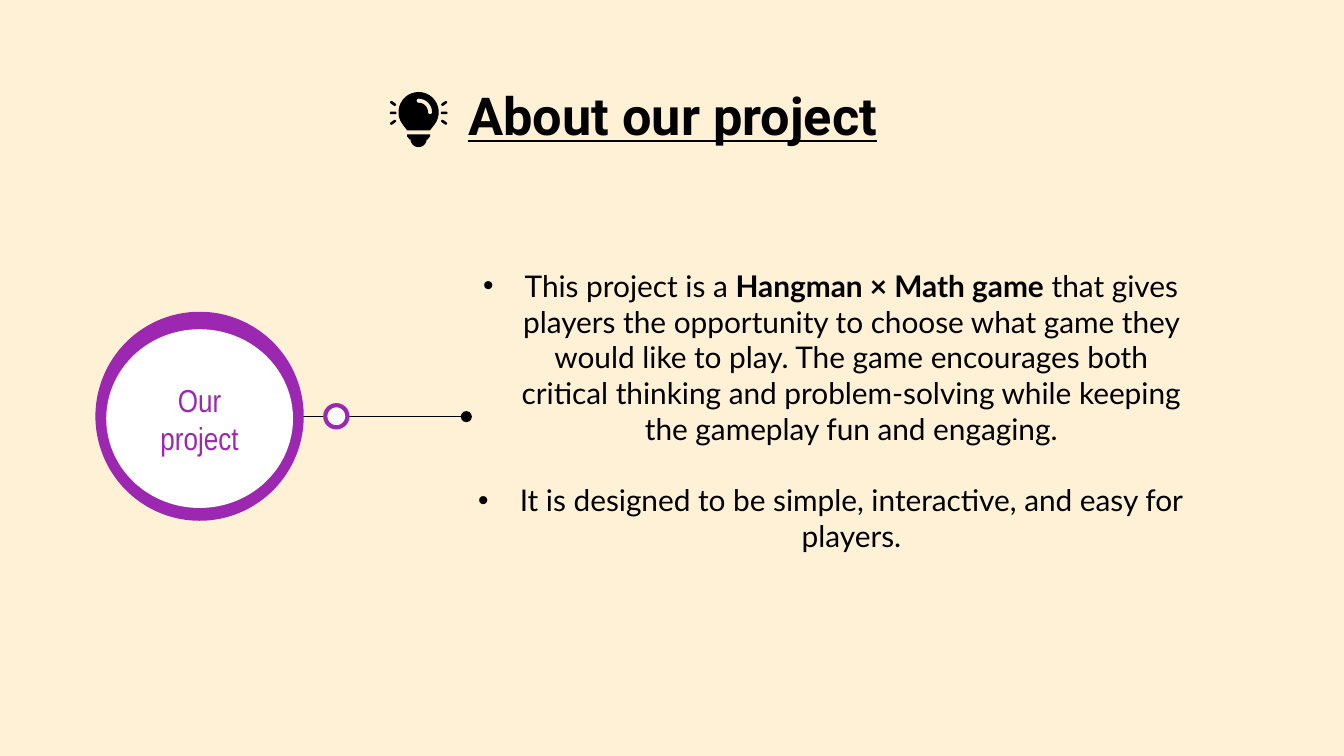
from dataclasses import dataclass
from math import cos, radians, sin

from lxml.etree import SubElement
from pptx import Presentation
from pptx.dml.color import RGBColor
from pptx.enum.shapes import MSO_CONNECTOR as Connector, MSO_SHAPE as Preset
from pptx.enum.text import MSO_ANCHOR as Anchor, PP_ALIGN as Align
from pptx.oxml.ns import qn
from pptx.util import Pt

PX = 4572  # 200 px to the inch
COLORS = {"cream": "FEF1D6", "black": "000000", "white": "FFFFFF", "purple": "9C27B0"}
Point = tuple[float, float]


@dataclass(frozen=True)
class Box:
    left: int
    top: int
    width: int
    height: int

    def emu(self) -> list[int]:
        return [value * PX for value in (self.left, self.top, self.width, self.height)]


@dataclass(frozen=True)
class Run:
    text: str
    bold: bool = False


@dataclass(frozen=True)
class Circle:
    box: Box
    fill: str
    outline: str | None = None


CIRCLES = [
    Circle(Box(484, 603, 33, 33), "white", "purple"),
    Circle(Box(142, 464, 310, 311), "purple"),
    Circle(Box(158, 490, 278, 266), "white"),
]
BULLETS = [
    [
        Run("This project is a "),
        Run("Hangman × Math game", bold=True),
        Run(" that gives players the opportunity to choose what game they would like to play. "
            "The game encourages both critical thinking and problem-solving while keeping "
            "the gameplay fun and engaging."),
    ],
    [Run("It is designed to be simple, interactive, and easy for players.")],
]
BULB_X, BULB_Y = 623, 167


def rgb(name: str) -> RGBColor:
    return RGBColor.from_string(COLORS[name])


def paint(shape, fill: str, outline: str | None = None):
    shape.shadow.inherit = False
    shape.fill.solid()
    shape.fill.fore_color.rgb = rgb(fill)
    if outline:
        shape.line.color.rgb = rgb(outline)
        shape.line.width = Pt(2.25)
    else:
        shape.line.fill.background()
    return shape


def add_bullet(paragraph, indent: int) -> None:
    properties = paragraph._p.get_or_add_pPr()
    properties.set("marL", str(indent * PX))
    properties.set("indent", str(-indent * PX))
    color = SubElement(properties, qn("a:buClr"))
    SubElement(color, qn("a:srgbClr"), val=COLORS["black"])
    SubElement(properties, qn("a:buFont"), typeface="Arial")
    SubElement(properties, qn("a:buChar"), char="•")


def write_text(shape, paragraphs: list[list[Run]], *, font: str, size: int,
               color: str = "black", anchor: Anchor = Anchor.MIDDLE,
               underline: bool = False, bullets: bool = False, gap: int = 0) -> None:
    frame = shape.text_frame
    frame.word_wrap = True
    frame.vertical_anchor = anchor
    frame.margin_left = frame.margin_right = frame.margin_top = frame.margin_bottom = 20 * PX
    for index, runs in enumerate(paragraphs):
        paragraph = frame.add_paragraph() if index else frame.paragraphs[0]
        paragraph.alignment = Align.CENTER
        if index and gap:
            paragraph.space_before = Pt(gap)
        if bullets:
            add_bullet(paragraph, 62)
        for part in runs:
            run = paragraph.add_run()
            run.text = part.text
            run.font.name = font
            run.font.size = Pt(size)
            run.font.bold = part.bold
            run.font.underline = underline
            run.font.color.rgb = rgb(color)


def add_text_box(slide, box: Box, paragraphs: list[list[Run]], **text_format) -> None:
    write_text(slide.shapes.add_textbox(*box.emu()), paragraphs, **text_format)


def add_pointer(shapes, start: Point, end: Point) -> None:
    """Draw a thin line that ends in a dot."""
    line = shapes.add_connector(Connector.STRAIGHT, *(value * PX for value in start + end))
    line.line.color.rgb = rgb("black")
    line.line.width = Pt(0.75)
    SubElement(line.line._get_or_add_ln(), qn("a:tailEnd"), type="oval")
    SubElement(line._element.spPr, qn("a:effectLst"))


def arc(x: float, y: float, radius: float, start: int, end: int) -> list[Point]:
    """Return points along an arc; angles in degrees run clockwise from the right."""
    steps = 24
    angles = [radians(start + (end - start) * step / steps) for step in range(steps + 1)]
    return [(x + radius * cos(angle), y + radius * sin(angle)) for angle in angles]


def add_outline(shapes, *contours: list[Point]) -> None:
    first, *others = [[(round(x * PX), round(y * PX)) for x, y in contour]
                      for contour in contours]
    builder = shapes.build_freeform(*first[0], scale=1.0)
    builder.add_line_segments(first[1:], close=True)
    for contour in others:
        builder.move_to(*contour[0])
        builder.add_line_segments(contour[1:], close=True)
    paint(builder.convert_to_shape(), "black")


def add_light_bulb(shapes) -> None:
    base = [(606, 200), (640, 200), (640, 203), (636, 208),
            *arc(BULB_X, 207, 12, 0, 180), (610, 208), (606, 203)]
    glass = [*arc(BULB_X, BULB_Y, 30, 142, 398), (640, 194), (606, 194)]
    highlight = [
        *arc(BULB_X, BULB_Y, 20, 270, 360),
        *arc(BULB_X + 17, BULB_Y, 3, 0, 180),
        *arc(BULB_X, BULB_Y, 14, 360, 270),
        *arc(BULB_X, BULB_Y - 17, 3, 90, 270),
    ]
    add_outline(shapes, base)
    add_outline(shapes, glass, highlight)
    for side in (-1, 1):
        for row in (-1, 0, 1):
            box = Box(BULB_X + side * 38 - 5, BULB_Y + 1 + row * 14 - 2, 10, 4)
            ray = paint(shapes.add_shape(Preset.ROUNDED_RECTANGLE, *box.emu()), "black")
            ray.adjustments[0] = 0.5
            ray.rotation = 35 * side * row


def main() -> None:
    presentation = Presentation()
    presentation.slide_width = 2000 * PX
    presentation.slide_height = 1125 * PX
    slide = presentation.slides.add_slide(presentation.slide_layouts[6])
    slide.background.fill.solid()
    slide.background.fill.fore_color.rgb = rgb("cream")

    add_text_box(slide, Box(156, 118, 1690, 106), [[Run("About our project", bold=True)]],
                 font="Roboto", size=28, underline=True)
    add_text_box(slide, Box(678, 378, 1116, 784), BULLETS, font="Lato", size=16,
                 anchor=Anchor.TOP, bullets=True, gap=19)

    badge = slide.shapes.add_group_shape().shapes
    add_pointer(badge, (350, 620), (694, 620))
    for circle in CIRCLES:
        disc = paint(badge.add_shape(Preset.OVAL, *circle.box.emu()),
                     circle.fill, circle.outline)
    write_text(disc, [[Run("Our project")]], font="Arial Narrow", size=17, color="purple")

    add_light_bulb(slide.shapes.add_group_shape().shapes)
    presentation.save("out.pptx")


if __name__ == "__main__":
    main()
